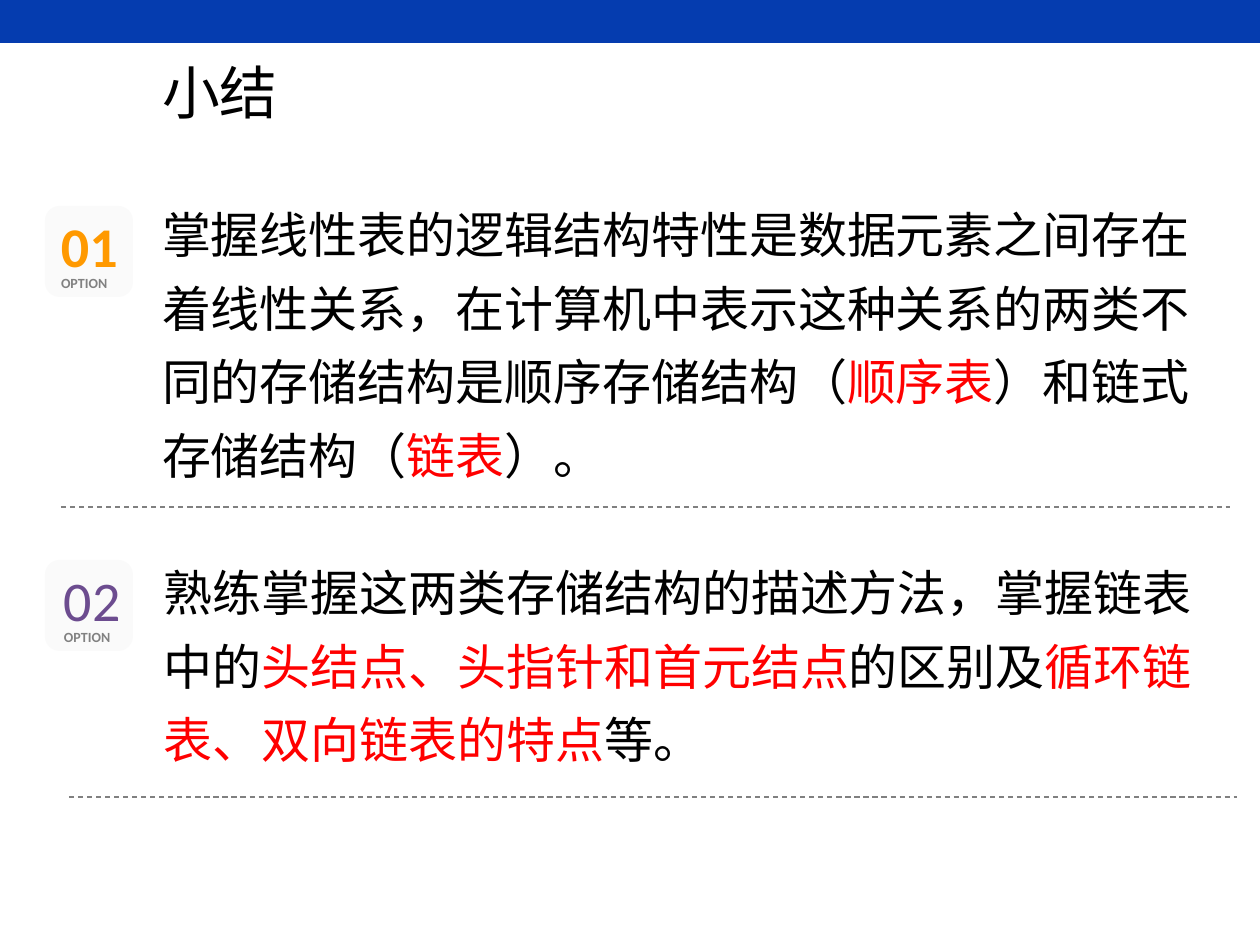
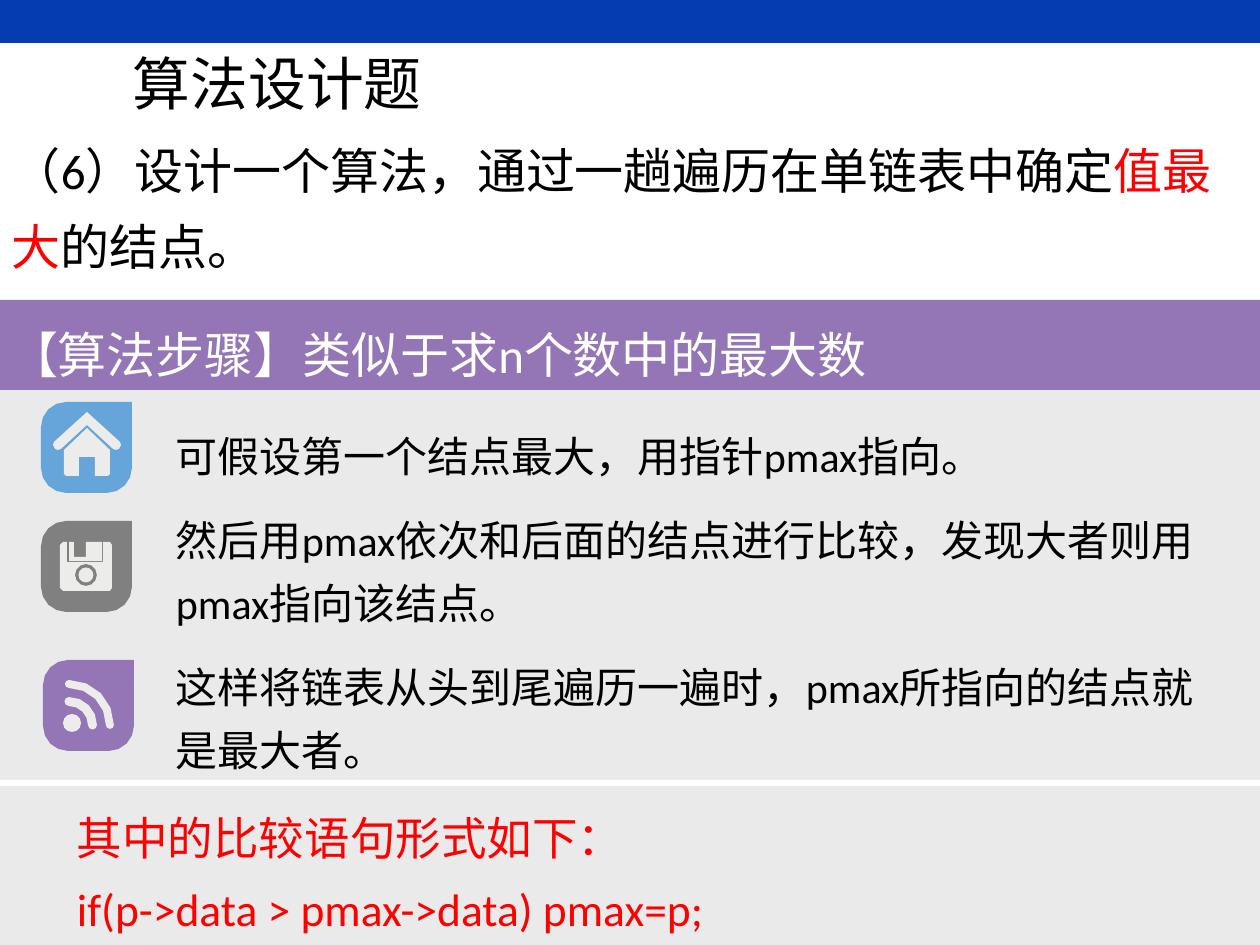
from math import cos, radians, sin

from lxml import etree
from pptx import Presentation
from pptx.dml.color import RGBColor
from pptx.enum.dml import MSO_LINE
from pptx.enum.lang import MSO_LANGUAGE_ID
from pptx.enum.shapes import MSO_CONNECTOR, MSO_SHAPE
from pptx.enum.text import MSO_ANCHOR, MSO_AUTO_SIZE, PP_ALIGN
from pptx.oxml.ns import qn
from pptx.util import Pt

# Shared style
PX = 914400 / 126
WIDTH, HEIGHT = 1260, 945
FONT = "Calibri"
BLACK, WHITE, RED = "000000", "FFFFFF", "FF0000"
BAND, PURPLE, PANEL = "053CAF", "9476B6", "EAEAEA"
GREY, BADGE, GLYPH = "808080", "FAFAFA", "ECECEB"
TOP, MIDDLE = MSO_ANCHOR.TOP, MSO_ANCHOR.MIDDLE
RECTANGLE, ROUNDED, OVAL = MSO_SHAPE.RECTANGLE, MSO_SHAPE.ROUNDED_RECTANGLE, MSO_SHAPE.OVAL
TITLE_ONLY = 5
INSET = (12, 6)

# Summary slide: a string is one run, a (text, colour) pair is a highlighted run
SUMMARY_TITLE = ("小结", (150, 60, 231, 72))
SUMMARY_POINTS = [
    {"number": "01", "color": "FF9900", "bold": True, "top": 206, "shift": 0,
     "box": (150, 184, 1063, 329), "rule": (61, 507, 1230),
     "runs": ["掌握线性表的逻辑结构特性是数据元素之间存在着线性关系，在计算机中表示这种关系的两类不同的存储结构是顺序存储结构（",
              ("顺序表", RED), "）和链式存储结构（", ("链表", RED), "）。"]},
    {"number": "02", "color": "6C4C8F", "bold": False, "top": 560, "shift": 3,
     "box": (152, 542, 1061, 234), "rule": (69, 797, 1237),
     "runs": ["熟练掌握这两类存储结构的描述方法，掌握链表中的",
              ("头结点、头指针和首元结点", RED), "的区别及",
              ("循环链表、双向链表的特点", RED), "等。"]},
]

# Algorithm slide
ALGORITHM_TITLE = ("算法设计题", (121, 51, 467, 72))
QUESTION = ["（6）设计一个算法，通过一趟遍历在单链表中确定", ("值最大", RED), "的结点。"]
STEPS_HEADING = "【算法步骤】类似于求n个数中的最大数"
STEPS = [
    "可假设第一个结点最大，用指针pmax指向。",
    "然后用pmax依次和后面的结点进行比较，发现大者则用pmax指向该结点。",
    "这样将链表从头到尾遍历一遍时，pmax所指向的结点就是最大者。",
]
COMPARISON = ["其中的比较语句形式如下：", "if(p->data > pmax->data) pmax=p;"]
BLOCK_LEFT, BLOCK_WIDTH = -3, 1266

# Icon outlines, in px from the corner of their tile
TILE, CORNER = 91, 25
ROOF = [(46, 10), (13, 40), (12, 43), (14, 47), (17, 48), (20, 47), (46, 23),
        (72, 47), (75, 48), (78, 47), (80, 43), (79, 40)]
HOUSE = [(23, 48), (23, 72), (25, 74), (38, 74), (38, 55), (54, 55), (54, 74),
         (67, 74), (69, 72), (69, 48), (46, 26)]
SHUTTER = [(61, 21), (45, 21), (45, 36), (33, 36), (33, 21), (28, 21), (28, 40), (61, 40)]
DISK = [(69, 21), (62, 21), (62, 41), (26, 41), (26, 21), (22, 21), (19, 24),
        (19, 67), (22, 70), (69, 70), (71, 67), (71, 24)]
HUB = (45, 54)
SIGNAL_CENTER = (26, 65)
SIGNAL_RADII = [(19, 28), (37, 45)]


def emu(*lengths):
    return [round(length * PX) for length in lengths]


def rgb(value):
    return RGBColor.from_string(value)


def write_text(frame, paragraphs, size=28, color=BLACK, bold=False, spacing=1.0,
               gap=0, anchor=MIDDLE, insets=INSET, wrap=True):
    """Fill a frame; each paragraph is a string or a list of runs."""
    frame.word_wrap = wrap
    frame.auto_size = MSO_AUTO_SIZE.NONE
    frame.vertical_anchor = anchor
    horizontal, vertical = emu(*insets)
    frame.margin_left = frame.margin_right = horizontal
    frame.margin_top = frame.margin_bottom = vertical
    for index, runs in enumerate(paragraphs):
        paragraph = frame.add_paragraph() if index else frame.paragraphs[0]
        paragraph.alignment = PP_ALIGN.LEFT
        paragraph.line_spacing = spacing
        paragraph.space_before = Pt(gap if index else 0)
        paragraph.space_after = Pt(gap)
        for item in [runs] if isinstance(runs, str) else runs:
            text, run_color = (item, color) if isinstance(item, str) else item
            run = paragraph.add_run()
            run.text = text
            font = run.font
            font.name, font.size, font.bold = FONT, Pt(size), bold
            font.color.rgb = rgb(run_color)
            font.language_id = MSO_LANGUAGE_ID.SIMPLIFIED_CHINESE


def add_text(slide, box, paragraphs, **style):
    write_text(slide.shapes.add_textbox(*emu(*box)).text_frame, paragraphs, **style)


def paint(shape, color):
    shape.shadow.inherit = False
    shape.fill.solid()
    shape.fill.fore_color.rgb = rgb(color)
    shape.line.fill.background()
    return shape


def add_block(slide, box, color, kind=RECTANGLE):
    return paint(slide.shapes.add_shape(kind, *emu(*box)), color)


def add_outline(slide, origin, color, *contours):
    """Draw one filled shape; contours after the first are holes."""
    builder = None
    for contour in contours:
        corners = [emu(origin[0] + x, origin[1] + y) for x, y in contour]
        if builder:
            builder.move_to(*corners[0])
        else:
            builder = slide.shapes.build_freeform(*corners[0])
        builder.add_line_segments(corners[1:])
    paint(builder.convert_to_shape(), color)


def add_rule(slide, left, top, right):
    line = slide.shapes.add_connector(MSO_CONNECTOR.STRAIGHT, *emu(left, top, right, top))
    line.line.color.rgb = rgb(GREY)
    line.line.width = Pt(0.75)
    line.line.dash_style = MSO_LINE.DASH
    etree.SubElement(line.element.spPr, qn("a:effectLst"))


def add_slide(presentation, title, box):
    slide = presentation.slides.add_slide(presentation.slide_layouts[TITLE_ONLY])
    placeholder = slide.shapes.title
    placeholder.left, placeholder.top, placeholder.width, placeholder.height = emu(*box)
    write_text(placeholder.text_frame, [title], size=33, spacing=0.9)
    add_block(slide, (0, 0, WIDTH, 43), BAND)
    return slide


# Icons
def arc(center, radius, start, end, steps=4):
    angles = [radians(start + (end - start) * i / steps) for i in range(steps + 1)]
    return [(center[0] + radius * cos(a), center[1] + radius * sin(a)) for a in angles]


def add_tile(slide, origin, color):
    far = TILE - CORNER
    points = [(TILE, 0), *arc((far, far), CORNER, 0, 90),
              *arc((CORNER, far), CORNER, 90, 180),
              *arc((CORNER, CORNER), CORNER, 180, 270)]
    add_outline(slide, origin, color, points)


def add_disc(slide, origin, center, radius):
    left, top = (origin[i] + center[i] - radius for i in range(2))
    add_block(slide, (left, top, 2 * radius, 2 * radius), GLYPH, OVAL)


def draw_home(slide, origin):
    for points in (ROOF, HOUSE):
        add_outline(slide, origin, GLYPH, points)


def draw_disk(slide, origin):
    add_outline(slide, origin, GLYPH, SHUTTER)
    add_outline(slide, origin, GLYPH, DISK, arc(HUB, 11, 360, 0, steps=12))
    add_disc(slide, origin, HUB, 7.5)


def draw_signal(slide, origin):
    add_disc(slide, origin, (29, 63), 9)
    x, y = SIGNAL_CENTER
    for inner, outer in SIGNAL_RADII:
        middle, cap = (inner + outer) / 2, (outer - inner) / 2
        points = [*arc((x, y), outer, -90, 0), *arc((x + middle, y), cap, 0, 180)[1:-1],
                  *arc((x, y), inner, 0, -90), *arc((x, y - middle), cap, 90, 270)[1:-1]]
        add_outline(slide, origin, GLYPH, points)


ICONS = [((41, 402), "65A5D9", draw_home), ((41, 521), GREY, draw_disk),
         ((43, 660), PURPLE, draw_signal)]


# Slides
def build_summary(presentation):
    slide = add_slide(presentation, *SUMMARY_TITLE)
    for point in SUMMARY_POINTS:
        top, shift = point["top"], point["shift"]
        add_block(slide, (45, top, 88, 91), BADGE, ROUNDED)
        add_text(slide, (61 + shift, top + 5, 66, 68), [point["number"]], size=32,
                 color=point["color"], bold=point["bold"], insets=(0, 0))
        add_text(slide, (49 + shift, top + 62, 82, 30), ["OPTION"], size=8,
                 color="818181", bold=True, anchor=TOP, wrap=False)
        add_text(slide, point["box"], [point["runs"]], spacing=1.25, anchor=TOP)
        add_rule(slide, *point["rule"])


def build_algorithm(presentation):
    slide = add_slide(presentation, *ALGORITHM_TITLE)
    add_block(slide, (BLOCK_LEFT, 383, BLOCK_WIDTH, 562), PANEL)
    add_text(slide, (0, 115, WIDTH, 168), [QUESTION], spacing=1.3)
    heading = add_block(slide, (BLOCK_LEFT, 300, BLOCK_WIDTH, 90), PURPLE)
    write_text(heading.text_frame, [STEPS_HEADING], color=WHITE, spacing=1.3)
    add_text(slide, (164, 413, 1071, 367), STEPS, size=24, spacing=1.25, gap=6)
    for origin, color, draw in ICONS:
        add_tile(slide, origin, color)
        draw(slide, origin)
    add_text(slide, (65, 790, 1195, 149), COMPARISON, size=26, color=RED, spacing=1.3)
    add_block(slide, (BLOCK_LEFT, 780, BLOCK_WIDTH, 6), WHITE)


def main():
    presentation = Presentation()
    presentation.slide_width, presentation.slide_height = emu(WIDTH, HEIGHT)
    build_summary(presentation)
    build_algorithm(presentation)
    presentation.save("out.pptx")


if __name__ == "__main__":
    main()
